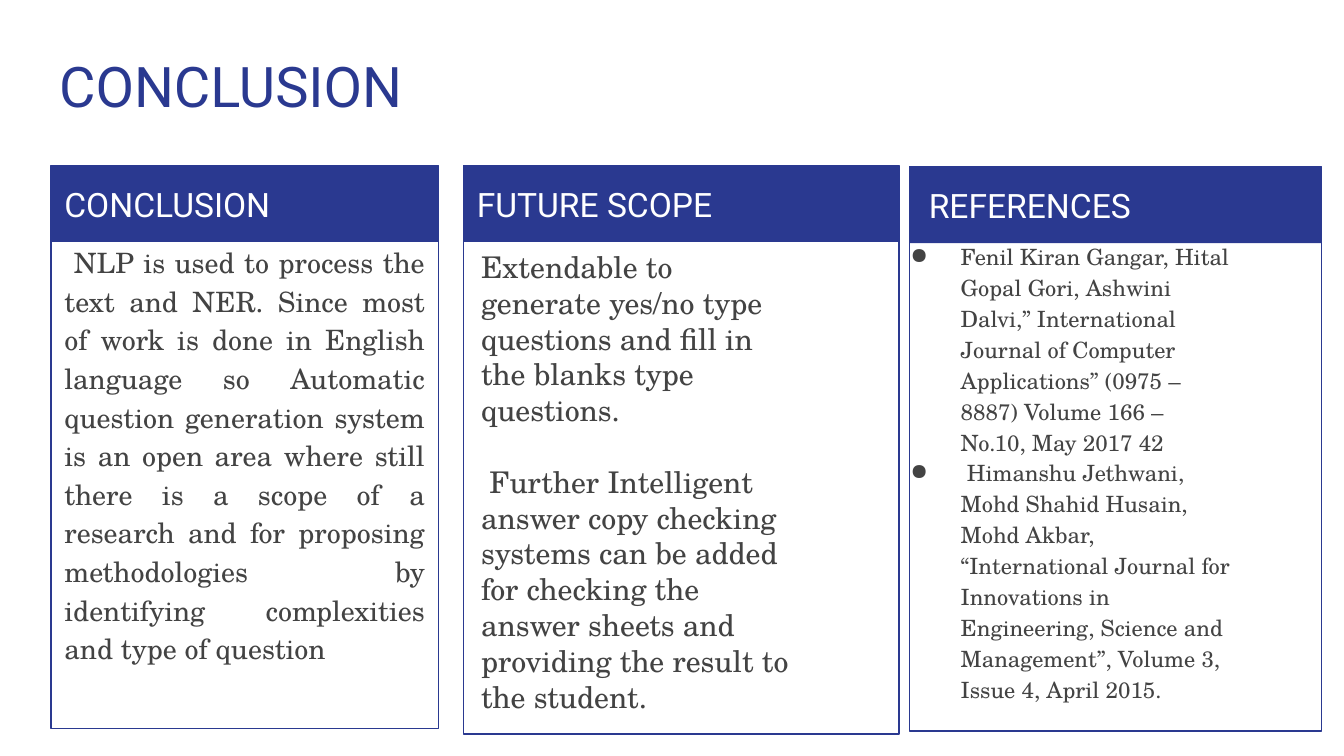
"""Build a slide with three headed columns: conclusion, future scope and references."""
from lxml import etree
from pptx import Presentation
from pptx.dml.color import RGBColor
from pptx.enum.shapes import MSO_SHAPE
from pptx.enum.text import MSO_ANCHOR, MSO_AUTO_SIZE, PP_ALIGN
from pptx.oxml.ns import qn
from pptx.util import Pt

RECT = MSO_SHAPE.RECTANGLE
TOP, MIDDLE = MSO_ANCHOR.TOP, MSO_ANCHOR.MIDDLE
LEFT, JUSTIFY = PP_ALIGN.LEFT, PP_ALIGN.JUSTIFY
NO_FIT = MSO_AUTO_SIZE.NONE
BLUE = RGBColor(0x2A, 0x39, 0x90)
WHITE = RGBColor(0xFF, 0xFF, 0xFF)
GREY = RGBColor(0x43, 0x43, 0x43)
SANS, SERIF = "Roboto", "TeX Gyre Schola"
INSET = 7.2
HEAD = 41

TITLE = "CONCLUSION"
COLUMNS = [
    {
        "head": "CONCLUSION",
        "frame": (27.4, 88.6, 207.4, 301.7),
        "inset": INSET,
        "body": (27.4, 121.7, 207.4, 257),
        "size": 15,
        "para": {"alignment": JUSTIFY, "line_spacing": 1.15, "space_before": Pt(4)},
        "text": [
            " NLP is used to process the text and NER. Since most of work is done in "
            "English language so Automatic question generation system is an open area "
            "where still there is a scope of a research and for proposing methodologies "
            "by identifying complexities and type of question",
        ],
    },
    {
        "head": "FUTURE SCOPE",
        "frame": (248.4, 88.6, 233.3, 304.6),
        "inset": INSET,
        "body": (250.6, 126, 181, 249),
        "size": 16,
        "para": {"alignment": LEFT, "space_after": Pt(19.2)},
        "text": [
            "Extendable to generate yes/no type questions and fill in the blanks type "
            "questions.",
            " Further Intelligent answer copy checking systems can be added for checking "
            "the answer sheets and providing the result to the student.",
        ],
    },
    {
        "head": "REFERENCES",
        "frame": (487.4, 89.3, 220.7, 302.4),
        "inset": 10.2,
        "body": (471.6, 121, 195.1, 220.3),
        "size": 12,
        "para": {"alignment": LEFT, "line_spacing": 1.15},
        "bullet": "●",
        "text": [
            "Fenil Kiran Gangar, Hital Gopal Gori, Ashwini Dalvi,” International Journal "
            "of Computer Applications” (0975 – 8887) Volume 166 – No.10, May 2017 42",
            " Himanshu Jethwani, Mohd Shahid Husain, Mohd Akbar, “International Journal "
            "for Innovations in Engineering, Science and Management”, Volume 3, Issue 4, "
            "April 2015.",
        ],
    },
]


def assign(item, values):
    for name, value in values.items():
        setattr(item, name, value)


def write(shape, lines, font, para, anchor=TOP, inset=INSET):
    frame = shape.text_frame
    assign(frame, {
        "word_wrap": True, "auto_size": NO_FIT, "vertical_anchor": anchor,
        "margin_left": Pt(inset), "margin_right": Pt(INSET),
        "margin_top": Pt(INSET), "margin_bottom": Pt(INSET),
    })
    for i, line in enumerate(lines):
        item = frame.add_paragraph() if i else frame.paragraphs[0]
        assign(item, para)
        run = item.add_run()
        run.text = line
        name, size, color = font
        assign(run.font, {"name": name, "size": Pt(size)})
        run.font.color.rgb = color
    return frame.paragraphs


def add_mark(item, mark):
    props = item._p.get_or_add_pPr()
    props.set("marL", str(Pt(36)))
    props.set("indent", str(Pt(-27)))
    color = etree.SubElement(props, qn("a:buClr"))
    etree.SubElement(color, qn("a:srgbClr")).set("val", str(GREY))
    etree.SubElement(props, qn("a:buChar")).set("char", mark)


def add_box(slide, box, filled):
    shape = slide.shapes.add_shape(RECT, *map(Pt, box))
    shape.shadow.inherit = False
    if filled:
        shape.fill.solid()
        shape.fill.fore_color.rgb = BLUE
        shape.line.fill.background()
    else:
        shape.fill.background()
        shape.line.color.rgb = BLUE
        shape.line.width = Pt(0.75)
    return shape


def add_column(slide, col):
    left, top, width, height = col["frame"]
    head = add_box(slide, (left, top, width, HEAD), True)
    write(head, [col["head"]], (SANS, 18, WHITE), {"alignment": LEFT}, MIDDLE, col["inset"])
    add_box(slide, (left, top, width, height), False)
    body = slide.shapes.add_textbox(*map(Pt, col["body"]))
    items = write(body, col["text"], (SERIF, col["size"], GREY), col["para"])
    if "bullet" in col:
        for item in items:
            add_mark(item, col["bullet"])


def main():
    deck = Presentation()
    assign(deck, {"slide_width": Pt(720), "slide_height": Pt(405)})
    slide = deck.slides.add_slide(deck.slide_layouts[5])
    title = slide.shapes.title
    assign(title, {"left": Pt(24.5), "top": Pt(20.2), "width": Pt(671), "height": Pt(47.5)})
    write(title, [TITLE], (SANS, 30, BLUE), {"alignment": LEFT})
    for col in COLUMNS:
        add_column(slide, col)
    deck.save("out.pptx")


if __name__ == "__main__":
    main()
